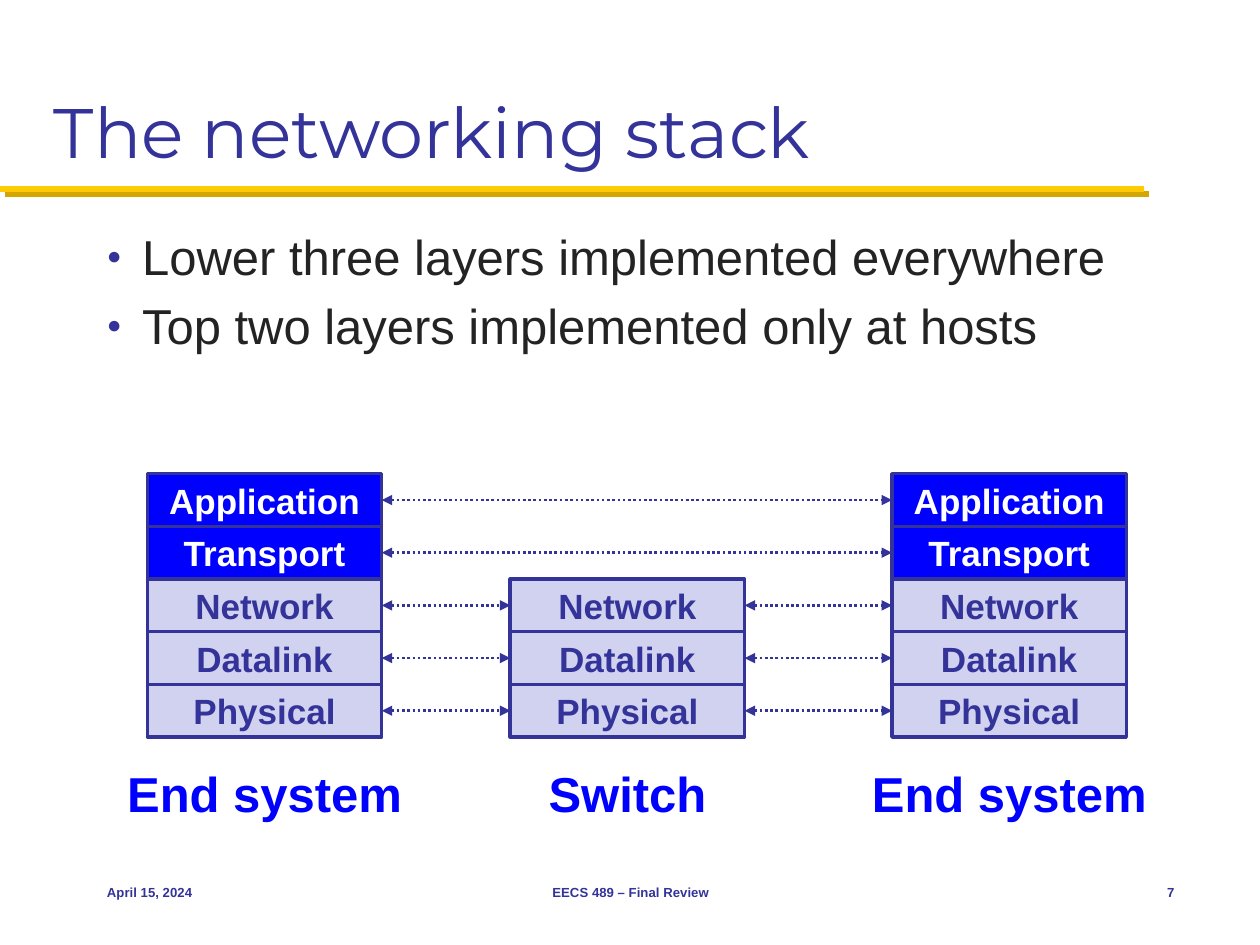
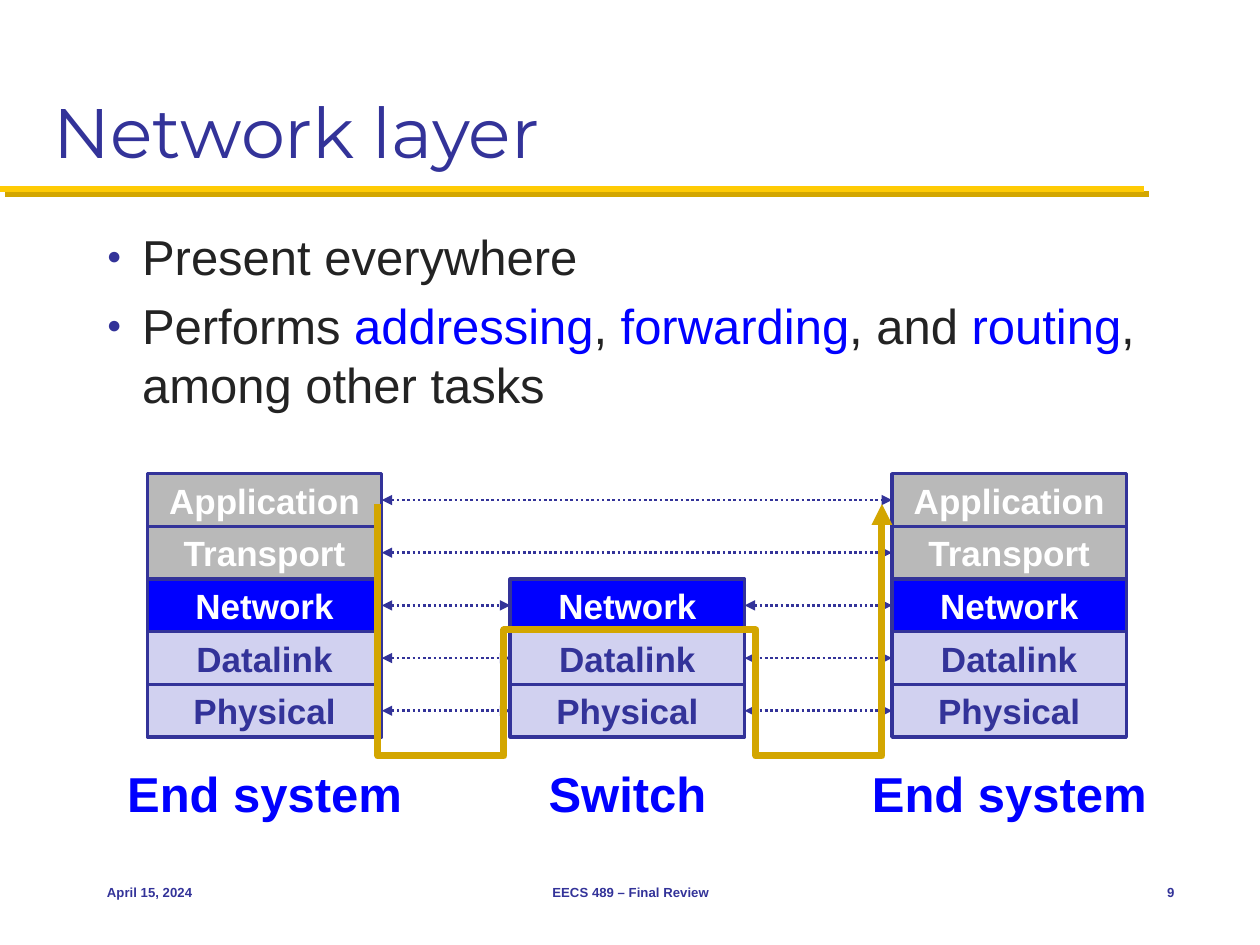
from dataclasses import dataclass

from lxml.etree import SubElement
from pptx import Presentation
from pptx.dml.color import RGBColor
from pptx.enum.shapes import MSO_CONNECTOR, MSO_SHAPE
from pptx.enum.text import MSO_ANCHOR, PP_ALIGN
from pptx.oxml.ns import qn
from pptx.util import Inches, Pt


@dataclass(frozen=True)
class Theme:
    navy: str = "333399"
    blue: str = "0000FF"
    lilac: str = "D1D1F0"
    gray: str = "B9B9B9"
    white: str = "FFFFFF"
    ink: str = "232323"
    yellow: str = "FFCB05"
    gold: str = "D3A600"
    heading_font: str = "Montserrat"
    body_font: str = "Arial"
    title_size: float = 40
    body_size: float = 28
    layer_size: float = 20
    footer_size: float = 7.5


T = Theme()

LAYERS = ["Application", "Transport", "Network", "Datalink", "Physical"]
STACKS = [("End system", 1.17, 0), ("Switch", 4.05, 2), ("End system", 7.08, 0)]
STACK_TOP, STACK_BOTTOM, STACK_W = 3.76, 5.85, 1.86
LAYER_H = (STACK_BOTTOM - STACK_TOP) / len(LAYERS)
LABEL_W = 2.41

ROUTE_HALF = [(2.92, 3.78), (2.92, 5.53), (3.09, 5.67), (4.47, 5.67), (4.47, 4.93)]
ROUTE_MIRROR = 10.06

FOOTER = [
    ("April 15, 2024", 0.75, 2.08, PP_ALIGN.LEFT),
    ("EECS 489 – Final Review", 3.42, 3.17, PP_ALIGN.CENTER),
    ("{number}", 8.75, 0.67, PP_ALIGN.RIGHT),
]

LOWER = (T.lilac, T.navy)
ACTIVE = (T.blue, T.white)
MUTED = (T.gray, T.white)

SLIDES = [
    {
        "number": 7,
        "title": "The networking stack",
        "bullets": [
            [("Lower three layers implemented everywhere", T.ink)],
            [("Top two layers implemented only at hosts", T.ink)],
        ],
        "layer_styles": [ACTIVE, ACTIVE, LOWER, LOWER, LOWER],
        "show_route": False,
    },
    {
        "number": 9,
        "title": "Network layer",
        "bullets": [
            [("Present everywhere", T.ink)],
            [
                ("Performs ", T.ink),
                ("addressing", T.blue),
                (", ", T.ink),
                ("forwarding", T.blue),
                (", and ", T.ink),
                ("routing", T.blue),
                (", among other tasks", T.ink),
            ],
        ],
        "layer_styles": [MUTED, MUTED, ACTIVE, LOWER, LOWER],
        "show_route": True,
    },
]


def rgb(color):
    return RGBColor.from_string(color)


def style_run(r, size, color, bold=False, font=T.body_font):
    r.font.name = font
    r.font.size = Pt(size)
    r.font.bold = bold
    r.font.color.rgb = rgb(color)


def add_text(s, text, box, size, color, align=PP_ALIGN.LEFT,
             anchor=MSO_ANCHOR.TOP, bold=False, font=T.body_font):
    tf = s.shapes.add_textbox(*map(Inches, box)).text_frame
    tf.word_wrap = True
    tf.vertical_anchor = anchor
    tf.text = text
    p = tf.paragraphs[0]
    p.alignment = align
    style_run(p.runs[0], size, color, bold, font)


def style_line(sp, color, width, dash=None, ends=()):
    sp.line.color.rgb = rgb(color)
    sp.line.width = Pt(width)
    ln = sp.element.spPr.get_or_add_ln()
    if dash:
        SubElement(ln, qn("a:prstDash"), val=dash)
    for end in ends:
        SubElement(ln, qn(f"a:{end}"), type="triangle")


def add_line(s, start, end):
    line = s.shapes.add_connector(
        MSO_CONNECTOR.STRAIGHT, *map(Inches, (*start, *end)))
    return line, SubElement(line.element.spPr, qn("a:effectLst"))


def add_title(s, title):
    line, effects = add_line(s, (0, 1.5), (9.08, 1.5))
    style_line(line, T.yellow, 3.5)
    shadow = SubElement(effects, qn("a:outerShdw"), blurRad="0",
                        dist=str(Pt(4.2)), dir="2700000", algn="ctr")
    SubElement(shadow, qn("a:srgbClr"), val=T.gold)
    add_text(s, title, (0.33, 0.17, 9.33, 1.25), T.title_size, T.navy,
             anchor=MSO_ANCHOR.BOTTOM, font=T.heading_font)


def add_bullets(s, bullets):
    tf = s.shapes.add_textbox(*map(Inches, (0.75, 1.75, 8.67, 1.8))).text_frame
    tf.word_wrap = True
    for i, parts in enumerate(bullets):
        p = tf.add_paragraph() if i else tf.paragraphs[0]
        p.space_before = Pt(0.2 * T.body_size)
        pPr = p._p.get_or_add_pPr()
        pPr.set("marL", str(Inches(0.28)))
        pPr.set("indent", str(-Inches(0.28)))
        SubElement(SubElement(pPr, qn("a:buClr")), qn("a:srgbClr"), val=T.navy)
        SubElement(pPr, qn("a:buSzPct"), val="50000")
        SubElement(pPr, qn("a:buFont"), typeface=T.body_font)
        SubElement(pPr, qn("a:buChar"), char="●")
        for text, color in parts:
            r = p.add_run()
            r.text = text
            style_run(r, T.body_size, color)


def add_layer(s, name, left, top, fill, color):
    sp = s.shapes.add_shape(
        MSO_SHAPE.RECTANGLE, *map(Inches, (left, top, STACK_W, LAYER_H)))
    sp.shadow.inherit = False
    sp.fill.solid()
    sp.fill.fore_color.rgb = rgb(fill)
    style_line(sp, T.navy, 2)
    tf = sp.text_frame
    tf.margin_top = tf.margin_bottom = 0
    tf.vertical_anchor = MSO_ANCHOR.MIDDLE
    tf.text = name
    p = tf.paragraphs[0]
    p.alignment = PP_ALIGN.CENTER
    style_run(p.runs[0], T.layer_size, color, bold=True)
    return sp


def add_stacks(s, styles):
    peers = [[] for _ in LAYERS]
    for label, left, first in STACKS:
        for i in range(first, len(LAYERS)):
            top = STACK_TOP + i * LAYER_H
            peers[i].append(add_layer(s, LAYERS[i], left, top, *styles[i]))
        add_text(s, label, (left + (STACK_W - LABEL_W) / 2, 6.01, LABEL_W, 0.57),
                 T.body_size, T.blue, PP_ALIGN.CENTER, bold=True)
    for row in peers:
        for a, b in zip(row, row[1:]):
            line, _ = add_line(s, (0, 0), (1, 0))
            line.begin_connect(a, 3)
            line.end_connect(b, 1)
            style_line(line, T.navy, 1.5, "sysDot", ("headEnd", "tailEnd"))


def add_route(s):
    points = ROUTE_HALF + [(ROUTE_MIRROR - x, y) for x, y in reversed(ROUTE_HALF)]
    builder = s.shapes.build_freeform(*points[0], scale=float(Inches(1)))
    builder.add_line_segments(points[1:], close=False)
    sp = builder.convert_to_shape()
    sp.shadow.inherit = False
    sp.fill.background()
    style_line(sp, T.gold, 4, ends=("tailEnd",))


def add_footer(s, number):
    for text, left, width, align in FOOTER:
        add_text(s, text.format(number=number), (left, 6.83, width, 0.5),
                 T.footer_size, T.navy, align, MSO_ANCHOR.MIDDLE, bold=True)


def main():
    prs = Presentation()
    prs.slide_width, prs.slide_height = Inches(10), Inches(7.5)
    for content in SLIDES:
        s = prs.slides.add_slide(prs.slide_layouts[6])
        add_title(s, content["title"])
        add_bullets(s, content["bullets"])
        add_stacks(s, content["layer_styles"])
        if content["show_route"]:
            add_route(s)
        add_footer(s, content["number"])
    prs.save("out.pptx")


if __name__ == "__main__":
    main()
